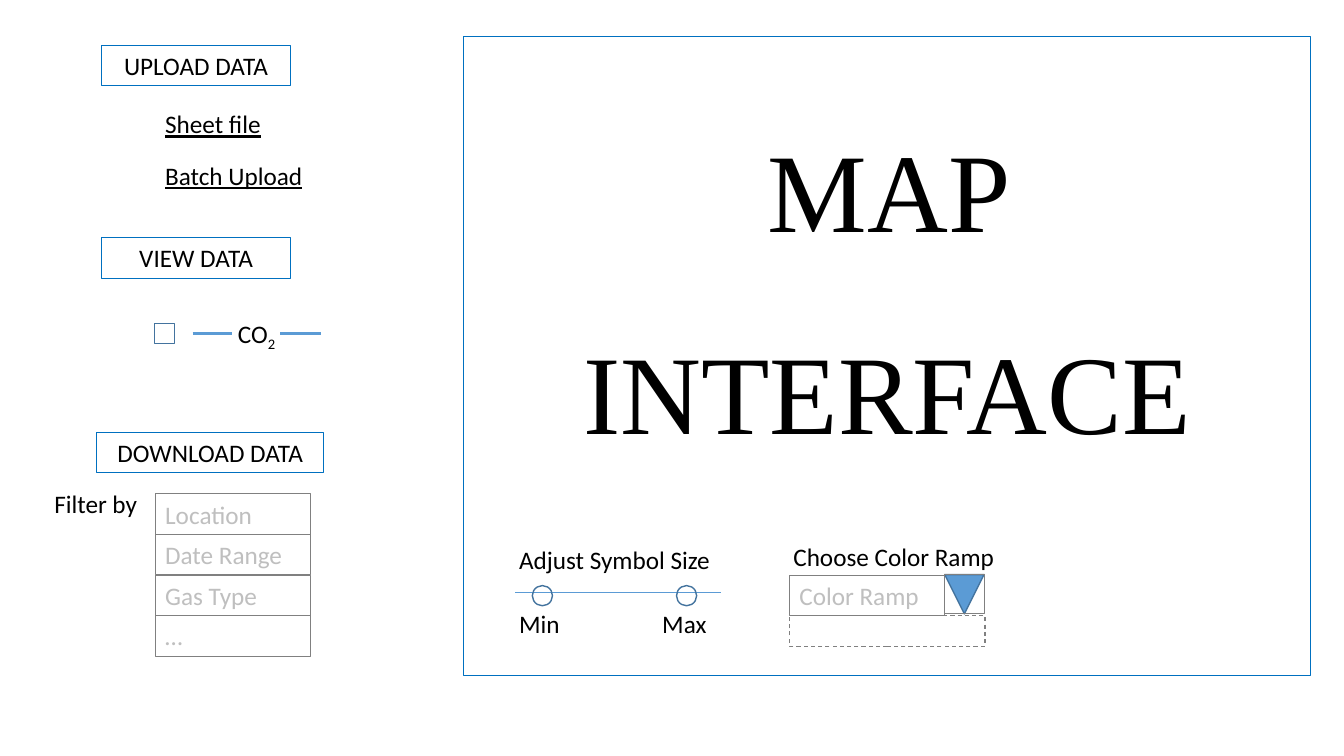
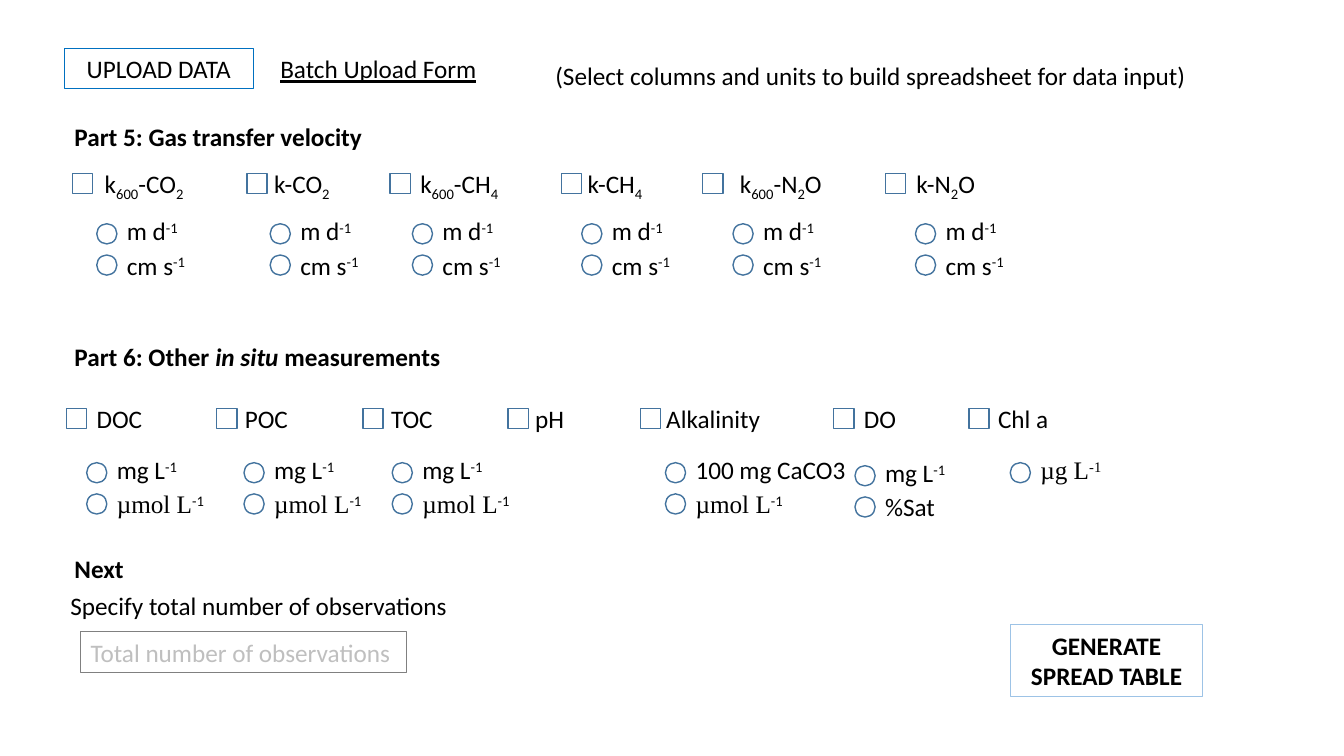
import dataclasses

import pptx
import pptx.dml.color
import pptx.enum.shapes
import pptx.enum.text
import pptx.oxml.ns
import pptx.util
from lxml import etree

PX = 9144  # 100 px to the inch
SHAPE = pptx.enum.shapes.MSO_SHAPE
ALIGN = pptx.enum.text.PP_ALIGN
ANCHOR = pptx.enum.text.MSO_ANCHOR


@dataclasses.dataclass(frozen=True)
class Theme:
    ink: str = "000000"
    hint: str = "BFBFBF"
    frame: str = "0070C0"
    field: str = "808080"
    mark: str = "43739E"
    accent: str = "5B9BD5"
    pale: str = "9DC3E6"
    sans: str = "Calibri"
    serif: str = "Times New Roman"
    body: int = 18
    display: int = 80


T = Theme()


def write(sp, text, color=T.ink, size=T.body, bold=False, underline=False,
          center=False, wrap=False, anchor=ANCHOR.TOP):
    """Runs are parted by |; leading marks: _ subscript, ^ superscript, / italic, ~ serif."""
    tf = sp.text_frame
    tf.auto_size = pptx.enum.text.MSO_AUTO_SIZE.NONE
    tf.word_wrap = wrap
    tf.vertical_anchor = anchor
    p = tf.paragraphs[0]
    p.alignment = ALIGN.CENTER if center else ALIGN.LEFT
    for part in text.split("|"):
        content = part.lstrip("_^/~")
        marks = part[:len(part) - len(content)]
        r = p.add_run()
        r.text = content
        r.font.name = T.serif if "~" in marks else T.sans
        r.font.size = pptx.util.Pt(size)
        r.font.color.rgb = pptx.dml.color.RGBColor.from_string(color)
        r.font.bold = bold
        r.font.underline = underline
        r.font.italic = "/" in marks
        if "_" in marks or "^" in marks:
            r.font._element.set("baseline", "-25000" if "_" in marks else "30000")


def put(s, x, y, w, h=40, text="", line=None, weight=0.75, kind=SHAPE.RECTANGLE,
        fill=None, **style):
    """Place a text box, or a shape when a line colour is given."""
    at = [v * PX for v in (x, y, w, h)]
    if line:
        sp = s.shapes.add_shape(kind, *at)
        sp.shadow.inherit = False
        sp.line.color.rgb = pptx.dml.color.RGBColor.from_string(line)
        sp.line.width = pptx.util.Pt(weight)
        if fill:
            sp.fill.solid()
            sp.fill.fore_color.rgb = pptx.dml.color.RGBColor.from_string(fill)
        else:
            sp.fill.background()
    else:
        sp = s.shapes.add_textbox(*at)
    if text:
        write(sp, text, **style)
    return sp


prs = pptx.Presentation()
prs.slide_width, prs.slide_height = 1333 * PX, 750 * PX
TITLE_ONLY = prs.slide_layouts[5]
BUTTON = dict(line=T.frame, center=True, wrap=True)
FIELD = dict(line=T.field, color=T.hint)
CHECK = dict(w=20, h=20, line=T.mark, weight=1)
RADIO = dict(CHECK, kind=SHAPE.OVAL)

# Slide 1: map frame as the title
s = prs.slides.add_slide(TITLE_ONLY)
sp = s.shapes.title
sp.left, sp.top, sp.width, sp.height = 460 * PX, 36 * PX, 840 * PX, 634 * PX
sp.line.color.rgb = pptx.dml.color.RGBColor.from_string(T.frame)
sp.line.width = pptx.util.Pt(0.75)
write(sp, "~MAP INTERFACE", size=T.display, center=True, wrap=True)
sp.text_frame.margin_top = 17 * PX
sp.text_frame.paragraphs[0].line_spacing = 1.5

# Side panel
for x, y, w, text in [(101, 45, 187, "UPLOAD DATA"), (101, 236, 187, "VIEW DATA"),
                      (96, 429, 225, "DOWNLOAD DATA")]:
    put(s, x, y, w, text=text, **BUTTON)
for y, text in [(103, "Sheet file"), (154, "Batch Upload")]:
    put(s, 154, y, 187, text=text, underline=True)
put(s, 153, 321, **CHECK)
put(s, 221, 311, 67, text="CO|_2", center=True, wrap=True)
put(s, 44, 480, 103, text="Filter by")
for i, text in enumerate(["Location", "Date Range", "Gas Type", "…"]):
    put(s, 154, 490 + round(40.4 * i), 154, text=text, **FIELD)

# Legend dashes and slider track
for x1, x2, y, weight in [(191, 230, 331, 2), (278, 318, 331, 2), (511, 715, 588, 0.5)]:
    cx = s.shapes.add_connector(pptx.enum.shapes.MSO_CONNECTOR.STRAIGHT,
                                x1 * PX, y * PX, x2 * PX, y * PX)
    cx.line.color.rgb = pptx.dml.color.RGBColor.from_string(T.accent)
    cx.line.width = pptx.util.Pt(weight)
    etree.SubElement(cx._element.spPr, pptx.oxml.ns.qn("a:effectLst"))

# Symbol size slider
put(s, 505, 535, 210, text="Adjust Symbol Size")
for knob_x, text_x, w, text in [(528, 505, 61, "Min"), (671, 647, 64, "Max")]:
    put(s, knob_x, 581, **RADIO)
    put(s, text_x, 599, w, text=text)

# Color ramp drop-down
put(s, 777, 532, 222, text="Choose Color Ramp")
put(s, 783, 571, 154, text="Color Ramp", **FIELD)
arrow = put(s, 937, 570, 39, 39, line=T.mark, weight=1,
            kind=SHAPE.ISOSCELES_TRIANGLE, fill=T.accent)
arrow.rotation = 180
put(s, 937, 570, 39, 39, line=T.field)
options = put(s, 783, 611, 194, 30, line=T.field)
options.line.dash_style = pptx.enum.dml.MSO_LINE.DASH

# Slide 2: heading row
s = prs.slides.add_slide(TITLE_ONLY)
sp = s.shapes.title
sp.left, sp.top, sp.width, sp.height = 268 * PX, 48 * PX, 256 * PX, 40 * PX
write(sp, "Batch Upload Form", underline=True)
put(s, 64, 48, 187, text="UPLOAD DATA", **BUTTON)
put(s, 541, 55, 653, text="(Select columns and units to build spreadsheet for data input)")

# Section headings
for y, w, text in [(115, 308, "Part 5: Gas transfer velocity"),
                   (334, 386, "Part 6: Other |/in situ |measurements"),
                   (544, 69, "Next")]:
    put(s, 64, y, w, text=text, bold=True)

# Check boxes: box left, label left, label width, label
CHECK_ROWS = {
    162: [(72, 94, 104, "k|_600|-CO|_2"), (245, 262, 78, "k-CO|_2"),
          (387, 407, 103, "k|_600|-CH|_4"), (557, 573, 77, "k-CH|_4"),
          (697, 724, 107, "k|_600|-N|_2|O"), (878, 899, 81, "k-N|_2|O")],
    395: [(66, 86, 66, "DOC"), (215, 233, 63, "POC"), (360, 378, 62, "TOC"),
          (504, 521, 49, "pH"), (635, 651, 114, "Alkalinity"),
          (827, 847, 52, "DO"), (961, 980, 71, "Chl a")],
}
for y, row in CHECK_ROWS.items():
    for box_x, text_x, w, text in row:
        put(s, box_x, y + 10, **CHECK)
        put(s, text_x, y, w, text=text)

# Unit choices: left, top, (label, width) pairs
VELOCITY = [("m d|^-1", 73), ("cm s|^-1", 80)]
MASS, MOLAR = ("mg L|^-1", 82), ("~µmol L|^-1", 109)
UNITS = [(x, 209, VELOCITY) for x in (96, 268, 409, 577, 727, 908)]
UNITS += [(x, 446, [MASS, MOLAR]) for x in (86, 242, 389)]
UNITS += [(660, 446, [("100 mg CaCO3", 171), MOLAR]),
          (848, 449, [MASS, ("%Sat", 70)]),
          (1002, 446, [("~µg L|~^-1", 83)])]
for x, y, units in UNITS:
    for i, (text, w) in enumerate(units):
        put(s, x, y + 13 + 31 * i, **RADIO)
        put(s, x + 20, y + 34 * i, w, text=text)

# Observation count and action
put(s, 60, 581, 398, text="Specify total number of observations")
put(s, 80, 627, 323, text="Total number of observations", **FIELD)
put(s, 1002, 620, 191, 71, text="GENERATE SPREAD TABLE", bold=True,
    line=T.pale, center=True, wrap=True)

prs.save("out.pptx")
